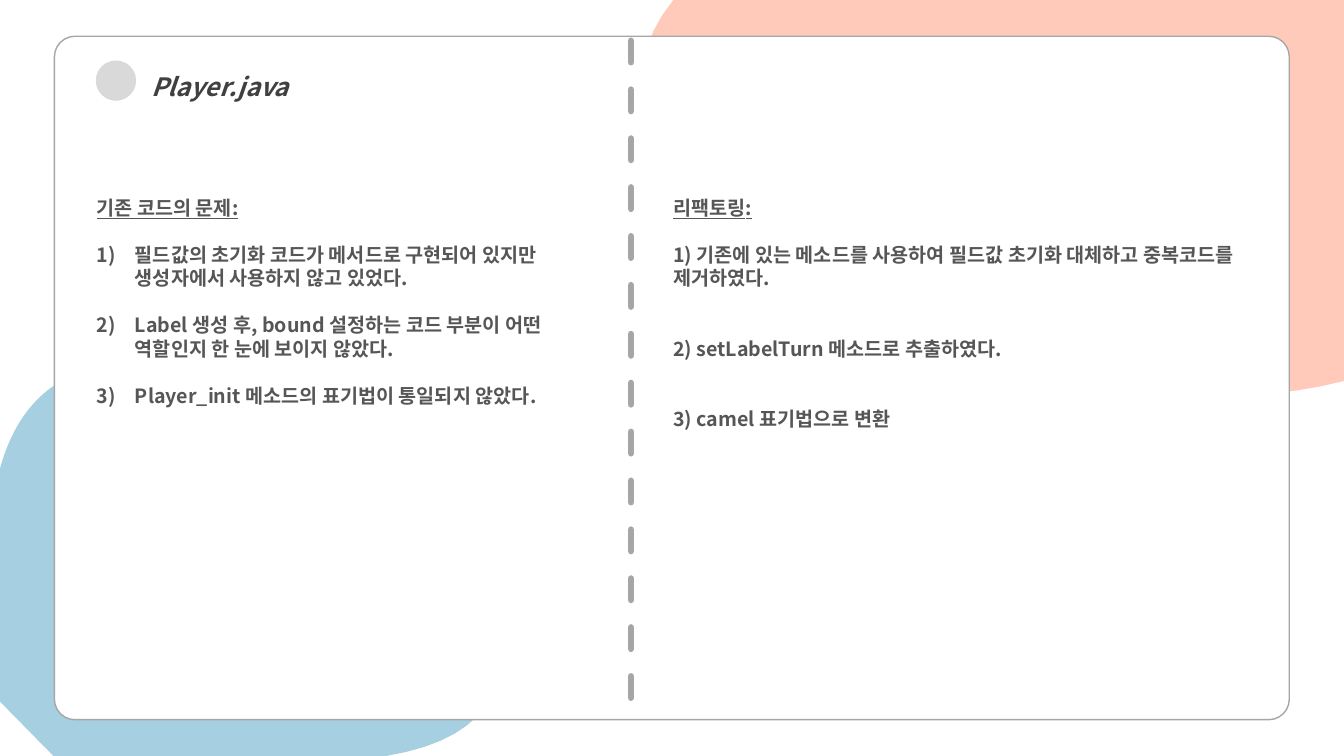
from lxml import etree
from pptx import Presentation
from pptx import util as u
from pptx.dml.color import RGBColor
from pptx.enum import dml, shapes, text
from pptx.oxml.ns import qn

FONT = "Noto Sans CJK KR"
WHITE = RGBColor(0xFF, 0xFF, 0xFF)
BLUE = RGBColor(0xA6, 0xCF, 0xE1)
CORAL = RGBColor(0xFF, 0xCA, 0xBA)
LINE_GRAY = RGBColor(0xA6, 0xA6, 0xA6)
DOT_GRAY = RGBColor(0xD9, 0xD9, 0xD9)
TITLE_GRAY = RGBColor(0x40, 0x40, 0x40)
TEXT_GRAY = RGBColor(0x56, 0x56, 0x56)

WIDTH, HEIGHT = u.Inches(13.33), u.Inches(7.5)
ROW = 16.8  # points in one body line
CURVE_STEPS = 40

# Each step is one point (straight) or three points (cubic curve),
# in percent of the slide's width and height.
BLUE_BLOB = [
    [(10.28, 48.13)],
    [(25.8, 48.93), (50.1, 93.73), (28.73, 100)],
    [(3.98, 100)], [(0, 92.8)], [(0, 62)],
    [(1.58, 51.73), (5.48, 47.87), (10.28, 48.13)],
]
CORAL_BLOB = [
    [(100, 0)], [(100, 50.4)],
    [(77.4, 60.93), (37.8, 26.67), (50.1, 0)],
]

PROBLEMS = [
    "필드값의 초기화 코드가 메서드로 구현되어 있지만 생성자에서 사용하지 않고 있었다.",
    "Label 생성 후, bound\u00a0설정하는 코드 부분이 어떤 역할인지 한 눈에 보이지 않았다.",
    "Player_init 메소드의 표기법이 통일되지 않았다.",
]
FIXES = [
    "1) 기존에 있는 메소드를 사용하여 필드값 초기화 대체하고 중복코드를 제거하였다.",
    "2) setLabelTurn 메소드로 추출하였다.",
    "3) camel 표기법으로 변환",
]


def place(x, y):
    """Turn percentages of the slide into lengths."""
    return round(WIDTH * x / 100), round(HEIGHT * y / 100)


def cubic(a, b, c, d):
    for i in range(1, CURVE_STEPS + 1):
        t = i / CURVE_STEPS
        weights = (1 - t) ** 3, 3 * t * (1 - t) ** 2, 3 * t * t * (1 - t), t ** 3
        yield tuple(sum(w * p[k] for w, p in zip(weights, (a, b, c, d)))
                    for k in (0, 1))


def paint(sp, fill, line=None):
    sp.shadow.inherit = False
    sp.fill.solid()
    sp.fill.fore_color.rgb = fill
    if line is None:
        sp.line.fill.background()
    else:
        sp.line.color.rgb = line
        sp.line.width = u.Pt(1)


def add_blob(s, outline, fill):
    points = []
    for step in outline:
        points += step if len(step) == 1 else cubic(points[-1], *step)
    start, *rest = [place(*p) for p in points]
    builder = s.shapes.build_freeform(*start)
    builder.add_line_segments(rest, close=True)
    paint(builder.convert_to_shape(), fill)


def add_preset(s, kind, box, fill, line=None):
    sp = s.shapes.add_shape(kind, *place(*box[:2]), *place(*box[2:]))
    paint(sp, fill, line)
    return sp


def add_divider(s, x, bottom, top):
    line = s.shapes.add_connector(
        shapes.MSO_CONNECTOR.STRAIGHT, *place(x, bottom), *place(x, top))
    line.line.color.rgb = LINE_GRAY
    line.line.width = u.Pt(5)
    line.line.dash_style = dml.MSO_LINE.DASH
    line.line._get_or_add_ln().set("cap", "rnd")
    etree.SubElement(line._element.spPr, qn("a:effectLst"))


def add_text_frame(s, box):
    tf = s.shapes.add_textbox(*place(*box[:2]), *place(*box[2:])).text_frame
    tf.word_wrap = True
    tf.auto_size = text.MSO_AUTO_SIZE.SHAPE_TO_FIT_TEXT
    return tf


def add_run(p, words, size, color, italic=False, underline=False):
    r = p.add_run()
    r.text = words
    f = r.font
    f.name, f.size, f.bold = FONT, u.Pt(size), True
    f.italic, f.underline = italic, underline
    f.color.rgb = color
    f._element.find(qn("a:latin")).addnext(
        etree.Element(qn("a:ea"), typeface=FONT))


def number(p):
    pPr = p._p.get_or_add_pPr()
    pPr.set("marL", str(u.Inches(0.38)))
    pPr.set("indent", str(-u.Inches(0.38)))
    etree.SubElement(pPr, qn("a:buFont"), typeface=FONT)
    etree.SubElement(pPr, qn("a:buAutoNum"), type="arabicParenR")


def add_list(s, box, heading, items, gap_rows, numbered=False):
    """Underlined heading, then items set gap_rows lines apart."""
    tf = add_text_frame(s, box)
    add_run(tf.paragraphs[0], heading, 14, TEXT_GRAY, underline=True)
    for i, item in enumerate(items):
        p = tf.add_paragraph()
        if numbered:
            number(p)
        p.space_before = u.Pt(ROW * (gap_rows if i else 1))
        add_run(p, item, 14, TEXT_GRAY)


def main():
    prs = Presentation()
    prs.slide_width, prs.slide_height = WIDTH, HEIGHT
    s = prs.slides.add_slide(prs.slide_layouts[6])

    add_blob(s, BLUE_BLOB, BLUE)
    add_blob(s, CORAL_BLOB, CORAL)
    card = add_preset(s, shapes.MSO_SHAPE.ROUNDED_RECTANGLE,
                      (4.05, 4.8, 91.88, 90.4), WHITE, LINE_GRAY)
    card.adjustments[0] = 0.03

    title = add_text_frame(s, (10.5, 6.8, 33.23, 6.67)).paragraphs[0]
    title.line_spacing = 1.5
    add_run(title, "Player.java", 18, TITLE_GRAY, italic=True)
    add_preset(s, shapes.MSO_SHAPE.OVAL, (7.13, 8, 3, 5.33), DOT_GRAY)

    add_list(s, (6.45, 25.2, 39.68, 32.8), "기존 코드의 문제:", PROBLEMS, 1,
             numbered=True)
    add_list(s, (49.35, 25.2, 45.38, 35.87), "리팩토링:", FIXES, 2)
    add_divider(s, 46.95, 92.27, 4.4)
    prs.save("out.pptx")


if __name__ == "__main__":
    main()
